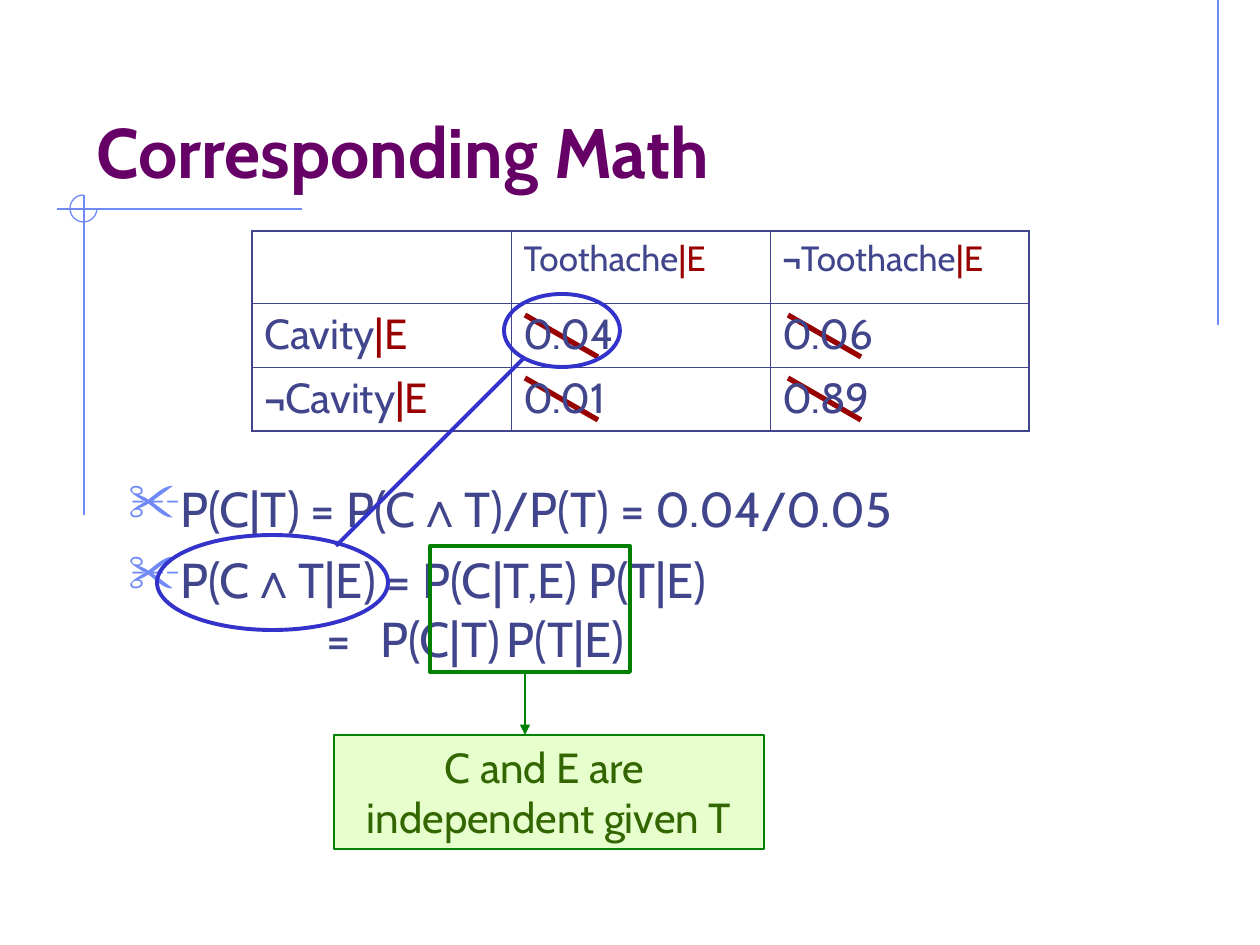
from pptx import Presentation
from pptx.dml.color import RGBColor
from pptx.enum.shapes import MSO_CONNECTOR, MSO_SHAPE
from pptx.enum.text import MSO_ANCHOR, PP_ALIGN
from pptx.oxml import parse_xml
from pptx.oxml.ns import nsdecls, qn
from pptx.util import Inches, Pt

COLORS = {
    "frame": "6F89F7",
    "title": "660066",
    "text": "40458C",
    "evidence": "990000",
    "link": "3333CC",
    "green": "008000",
    "callout": "E6FFCD",
    "callout_text": "336600",
}
FONT, SYMBOL_FONT = "Cabin", "Arial"
EMU_PER_PX = Inches(10) / 1260


def px(length):
    return round(length * EMU_PER_PX)


def rgb(name):
    return RGBColor.from_string(COLORS[name])


def element(xml):
    """Parse one DrawingML element written without its namespace."""
    head, rest = xml.split(" ", 1)
    return parse_xml(f"{head} {nsdecls('a')} {rest}")


class SlideBuilder:
    def __init__(self, slide):
        self.slide = slide

    def set_text(self, paragraph, runs, size, color="text", bold=False, before=0):
        """Fill a paragraph; each run is a string or (string, kind, size)."""
        font = paragraph.font
        font.name, font.size, font.bold = FONT, Pt(size), bold
        font.color.rgb = rgb(color)
        paragraph.space_before = Pt(before)
        for part in runs:
            text, kind, *own_size = (part, None) if isinstance(part, str) else part
            if text == "\v":
                paragraph.add_line_break()
                continue
            run = paragraph.add_run()
            run.text = text
            if kind == "symbol":
                run.font.name, run.font.bold = SYMBOL_FONT, True
            elif kind:
                run.font.color.rgb = rgb(kind)
            if own_size:
                run.font.size = Pt(own_size[0])

    def layout(self, paragraph, margin, indent, *details):
        """Set the indents and add bullet or tab elements."""
        properties = paragraph._p.get_or_add_pPr()
        properties.set("marL", str(px(margin)))
        properties.set("indent", str(px(indent)))
        defaults = properties.find(qn("a:defRPr"))
        for xml in details:
            defaults.addprevious(element(xml))

    def text_box(self, x, y, width, height, anchor=MSO_ANCHOR.TOP):
        frame = self.slide.shapes.add_textbox(px(x), px(y), px(width), px(height)).text_frame
        frame.word_wrap = True
        frame.vertical_anchor = anchor
        return frame

    def line(self, x1, y1, x2, y2, color, weight, arrow=False):
        line = self.slide.shapes.add_connector(
            MSO_CONNECTOR.STRAIGHT, px(x1), px(y1), px(x2), px(y2))
        line.line.color.rgb = rgb(color)
        line.line.width = Pt(weight)
        properties = line._element.spPr
        if arrow:
            properties.get_or_add_ln().append(element('<a:tailEnd type="triangle"/>'))
        properties.append(element("<a:effectLst />"))

    def shape(self, kind, x, y, width, height, color, weight, fill=None):
        shape = self.slide.shapes.add_shape(kind, px(x), px(y), px(width), px(height))
        shape.shadow.inherit = False
        shape.line.color.rgb = rgb(color)
        shape.line.width = Pt(weight)
        if fill:
            shape.fill.solid()
            shape.fill.fore_color.rgb = rgb(fill)
        else:
            shape.fill.background()
        return shape

    def table(self, x, y, column_width, row_heights, rows):
        columns = len(rows[0])
        table = self.slide.shapes.add_table(
            len(rows), columns, px(x), px(y),
            px(column_width * columns), px(sum(row_heights))).table
        table.first_row = table.horz_banding = False
        for column in table.columns:
            column.width = px(column_width)
        for r, runs_by_cell in enumerate(rows):
            table.rows[r].height = px(row_heights[r])
            size, before = (24, 6) if r else (20, 5)
            for c, runs in enumerate(runs_by_cell):
                cell = table.cell(r, c)
                self.set_text(cell.text_frame.paragraphs[0], runs, size, before=before)
                outer = {"L": c == 0, "R": c == columns - 1,
                         "T": r == 0, "B": r == len(rows) - 1}
                self.borders(cell, outer)
                cell.fill.background()

    def borders(self, cell, outer):
        properties = cell._tc.get_or_add_tcPr()
        for side, is_outer in outer.items():
            width = Pt(1.08 if is_outer else 0.45)
            properties.append(element(
                f'<a:ln{side} w="{width}"><a:solidFill>'
                f'<a:srgbClr val="{COLORS["text"]}"/></a:solidFill></a:ln{side}>'))


def main():
    presentation = Presentation()
    presentation.slide_width, presentation.slide_height = px(1260), px(945)
    build = SlideBuilder(presentation.slides.add_slide(presentation.slide_layouts[6]))

    for ends in ((1218, 0, 1218, 325), (302, 209, 57, 209), (84, 195, 84, 515)):
        build.line(*ends, "frame", 0.75)
    corner = build.shape(MSO_SHAPE.ARC, 70, 195, 27, 27, "frame", 0.75)
    corner.adjustments[0], corner.adjustments[1] = 0, 162  # 0 to 270 degrees

    title = build.text_box(84, 42, 1071, 157, MSO_ANCHOR.BOTTOM)
    build.set_text(title.paragraphs[0], ["Corresponding Math"], 40, "title", bold=True)

    formulas = build.text_box(116, 472, 1071, 378)
    bullet = (f'<a:buClr ><a:srgbClr val="{COLORS["frame"]}"/></a:buClr>',
              '<a:buSzPct val="110000"/>', '<a:buChar char="✂"/>')
    tabs = "".join(f'<a:tab pos="{px(stop)}" algn="l"/>' for stop in (244, 393))
    conjunction = ("∧", "symbol")
    given = formulas.paragraphs[0]
    build.set_text(given, ["P(C|T) = P(C", conjunction, "T)/P(T) = 0.04/0.05"], 28, before=7)
    joint = formulas.add_paragraph()
    build.set_text(joint, ["P(C", conjunction, "T|E) = P(C|T,E) P(T|E)"], 28, before=7)
    for formula in (given, joint):
        build.layout(formula, 48, -48, *bullet)
    simplified = formulas.add_paragraph()
    build.set_text(simplified, ["=\tP(C|T)\tP(T|E)"], 28)
    build.layout(simplified, 0, 198, "<a:buNone />", f"<a:tabLst >{tabs}</a:tabLst>")

    for x in (525, 788):
        for y in (315, 378):
            build.line(x, y, x + 73, y + 42, "evidence", 3)
    evidence = ("|E", "evidence")
    build.table(252, 231, 259, (72, 64, 64), [
        [[], ["Toothache", evidence], [("¬", "symbol", 18), "Toothache", evidence]],
        [["Cavity", evidence], ["0.04"], ["0.06"]],
        [[("¬", "symbol", 20), "Cavity", evidence], ["0.01"], ["0.89"]],
    ])

    build.shape(MSO_SHAPE.RECTANGLE, 430, 546, 200, 126, "green", 2.25)
    callout = build.shape(MSO_SHAPE.RECTANGLE, 334, 735, 430, 114, "green", 0.75, "callout")
    callout.text_frame.word_wrap = False
    independence = callout.text_frame.paragraphs[0]
    independence.alignment = PP_ALIGN.CENTER
    build.set_text(independence, ["C and E are ", ("\v", None), "independent given T"],
                   24, "callout_text")
    build.line(525, 672, 525, 735, "green", 0.75, arrow=True)

    build.shape(MSO_SHAPE.OVAL, 504, 294, 116, 73, "link", 2.25)
    build.shape(MSO_SHAPE.OVAL, 157, 535, 231, 95, "link", 2.25)
    build.line(336, 546, 525, 357, "link", 2.25)

    presentation.save("out.pptx")


if __name__ == "__main__":
    main()
